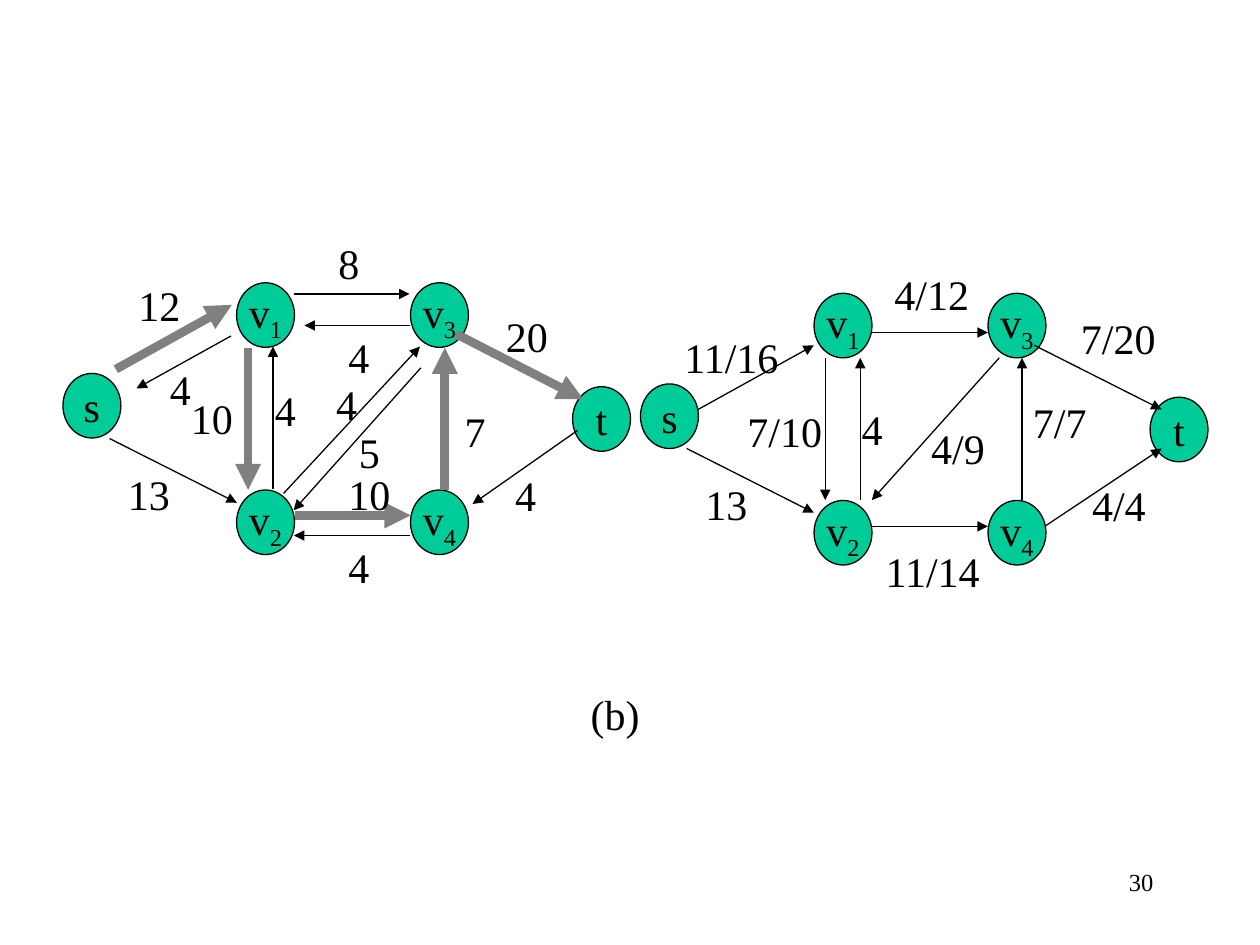
"""Build a slide with a residual network beside its flow network."""
import pptx
import pptx.util
import pptx.dml.color
import pptx.enum.shapes
import pptx.enum.text
import pptx.oxml
import pptx.oxml.ns

Pt = pptx.util.Pt
ALIGN = pptx.enum.text.PP_ALIGN
COLORS = {"node": "00CC99", "ink": "000000", "path": "808080"}
FONT = "Times New Roman"
NODE_W, NODE_H = 33.1, 36.9

NODES = [
    ("s", "", 36, 213.4), ("v", "2", 135.2, 280), ("v", "4", 234.6, 280),
    ("t", "", 327.2, 221), ("v", "3", 234.6, 161.6), ("v", "1", 135.2, 161.6),
]
RESIDUAL = [
    ("12", (72, 156), (66.2, 211), (132.5, 174.2), True),
    ("4", (90, 204), (132, 192), (78, 222), False),
    ("13", (66, 264), (62.6, 250.6), (135.4, 287.3), False),
    ("8", (186.2, 132), (168, 168), (234, 168), False),
    ("4", (192, 186), (234, 186), (174, 186), False),
    ("10", (102, 221), (141.8, 198.7), (141.8, 280), True),
    ("4", (150, 216), (156, 279.4), (156, 198), False),
    ("4", (185, 213), (162, 282), (240, 198), False),
    ("5", (198, 240), (240.5, 210.2), (167.8, 291.6), False),
    ("10", (192, 264), (168.5, 294.5), (234.7, 294.5), True),
    ("4", (192, 306), (234, 306), (168, 306), False),
    ("7", (258.4, 228), (254.2, 280), (254.2, 198.7), True),
    ("20", (282, 174), (260.6, 190.8), (333.4, 228.2), True),
    ("4", (287.2, 265), (330, 246), (270, 288), False),
]
FLOW = [
    ("11/16", (384, 186), (398.9, 234), (465.1, 197.3), False),
    ("13", (396, 270), (392.4, 256.3), (465.1, 293), False),
    ("4/12", (504, 150), (498.2, 190), (564.5, 190), False),
    ("7/10", (420, 228), (471.6, 204.5), (471.6, 285.8), False),
    ("4", (485.2, 227), (491.6, 285.8), (491.6, 204.5), False),
    ("4/9", (525, 237.8), (571, 204.5), (498.2, 285.8), False),
    ("11/14", (499, 308.2), (498.2, 300.8), (564.5, 300.8), False),
    ("7/7", (583.2, 223.2), (584, 285.8), (584, 204.5), False),
    ("7/20", (610.6, 175), (591, 197.3), (663.8, 234), False),
    ("4/4", (617, 270.7), (597.6, 300.4), (663.8, 256.3), False),
]
GRAPHS = [((0, 0), RESIDUAL), ((330, 6), FLOW)]
CAPTION = ("(b)", 330.5, 390, 42.4)
NUMBER = ("30", 516.2, 492, 150)


def rgb(name):
    """Return the named colour."""
    return pptx.dml.color.RGBColor.from_string(COLORS[name])


def write(shape, text, sub="", size=24, align=ALIGN.LEFT, wrap=False,
          anchor=pptx.enum.text.MSO_ANCHOR.TOP):
    """Put text and an optional subscript in a shape."""
    frame = shape.text_frame
    frame.word_wrap = wrap
    frame.vertical_anchor = anchor
    para = frame.paragraphs[0]
    para.alignment = align
    for part, base in ((text, None), (sub, "-25000")):
        if not part:
            continue
        run = para.add_run()
        run.text = part
        run.font.size = Pt(size)
        run.font.name = FONT
        run.font.color.rgb = rgb("ink")
        if base:
            run.font._element.set("baseline", base)


def label(slide, text, left, top, width, **form):
    """Add a text box."""
    box = slide.shapes.add_textbox(Pt(left), Pt(top), Pt(width), Pt(36))
    write(box, text, **form)


def node(slide, text, sub, left, top):
    """Add a round node."""
    oval = slide.shapes.add_shape(
        pptx.enum.shapes.MSO_SHAPE.OVAL,
        Pt(left), Pt(top), Pt(NODE_W), Pt(NODE_H))
    oval.shadow.inherit = False
    oval.fill.solid()
    oval.fill.fore_color.rgb = rgb("node")
    oval.line.color.rgb = rgb("ink")
    oval.line.width = Pt(0.75)
    write(oval, text, sub=sub, align=ALIGN.CENTER,
          anchor=pptx.enum.text.MSO_ANCHOR.MIDDLE)


def arrow(slide, start, end, bold):
    """Add an arrow, thick and grey on the chosen path."""
    line = slide.shapes.add_connector(
        pptx.enum.shapes.MSO_CONNECTOR.STRAIGHT,
        *(Pt(value) for value in start + end))
    line.line.color.rgb = rgb("path" if bold else "ink")
    line.line.width = Pt(5 if bold else 0.75)
    props = line._element.spPr
    space = pptx.oxml.ns.nsdecls("a")
    props.find(pptx.oxml.ns.qn("a:ln")).append(
        pptx.oxml.parse_xml(f'<a:tailEnd {space} type="triangle"/>'))
    props.append(pptx.oxml.parse_xml(f"<a:effectLst {space}/>"))


def main():
    """Draw both networks, the caption and the slide number."""
    deck = pptx.Presentation()
    deck.slide_width, deck.slide_height = Pt(720), Pt(540)
    slide = deck.slides.add_slide(deck.slide_layouts[6])
    for (dx, dy), edges in GRAPHS:
        for text, sub, left, top in NODES:
            node(slide, text, sub, left + dx, top + dy)
        for text, spot, start, end, bold in edges:
            arrow(slide, start, end, bold)
        for text, spot, start, end, bold in edges:
            width = 14.4 + sum(6.67 if sign == "/" else 12 for sign in text)
            label(slide, text, *spot, width)
    label(slide, *CAPTION)
    label(slide, *NUMBER, size=14, align=ALIGN.RIGHT, wrap=True)
    deck.save("out.pptx")


if __name__ == "__main__":
    main()
